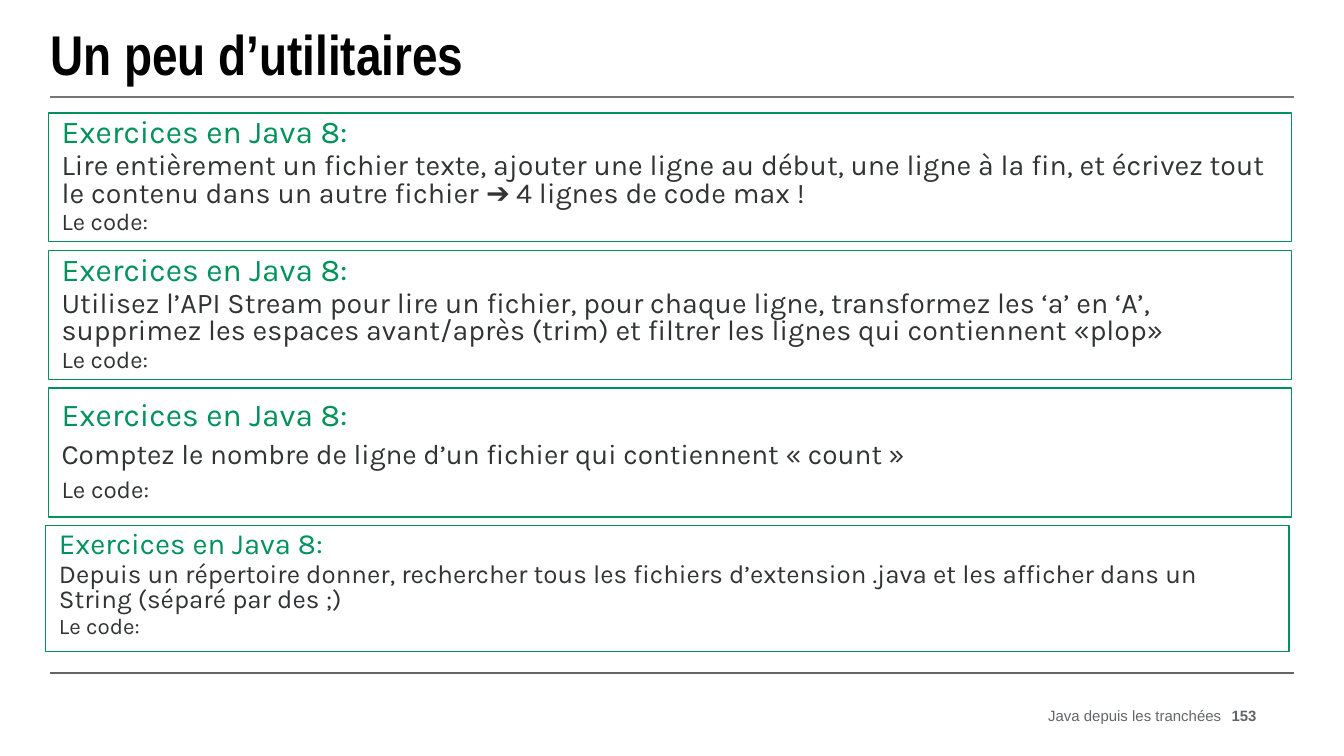
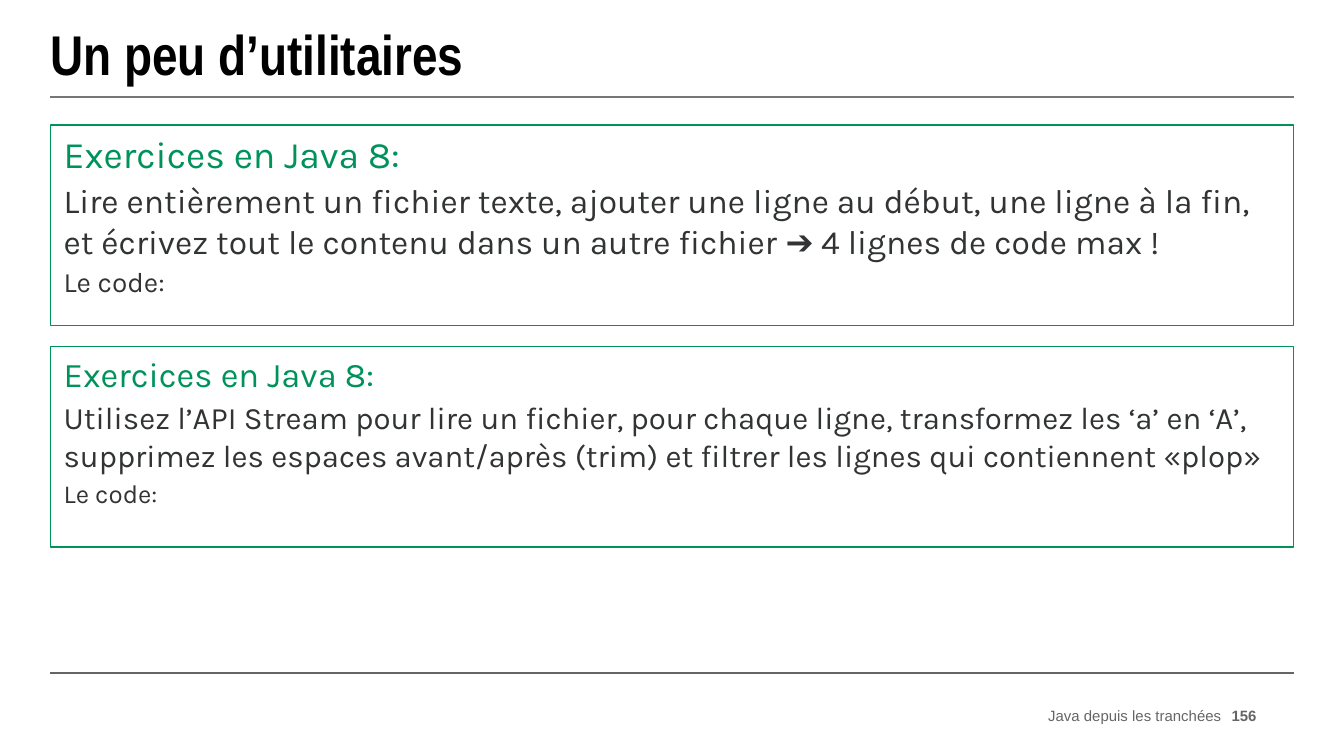
from dataclasses import dataclass

from lxml.etree import SubElement
from pptx import Presentation
from pptx.dml.color import RGBColor
from pptx.enum.shapes import MSO_CONNECTOR, MSO_SHAPE
from pptx.enum.text import MSO_ANCHOR, MSO_AUTO_SIZE, PP_ALIGN
from pptx.oxml.ns import qn
from pptx.slide import Slide
from pptx.text.text import TextFrame
from pptx.util import Inches, Pt

# Shared style
GREEN = RGBColor(0x00, 0x92, 0x5B)
INK = RGBColor(0x32, 0x33, 0x34)
BLACK = RGBColor(0x00, 0x00, 0x00)
FOOTER_GREY = RGBColor(0x64, 0x65, 0x67)
RULE_GREY = RGBColor(0x76, 0x76, 0x76)
TITLE_FONT, BODY_FONT, FOOTER_FONT = "Arial Narrow", "Karla", "Arial"

# 16:9 page with a centred content column
PAGE_WIDTH = 10
PAGE_HEIGHT = PAGE_WIDTH * 9 / 16
WIDTH = 9.25
LEFT = (PAGE_WIDTH - WIDTH) / 2
RIGHT = LEFT + WIDTH

TITLE = "Un peu d’utilitaires"
FOOTER = "Java depuis les tranchées"
HEADING = "Exercices en Java 8:"
CODE_LABEL = "Le code:"

# Exercise wording
ADD_LINES = ("Lire entièrement un fichier texte, ajouter une ligne au début, "
             "une ligne à la fin, et écrivez tout le contenu dans un autre "
             "fichier ➔ 4 lignes de code max !")
STREAM = ("Utilisez l’API Stream pour lire un fichier, pour chaque ligne, "
          "transformez les ‘a’ en ‘A’, supprimez les espaces avant/après "
          "(trim) et filtrer les lignes qui contiennent «plop»")
COUNT = "Comptez le nombre de ligne d’un fichier qui contiennent « count »"
FIND_JAVA = ("Depuis un répertoire donner, rechercher tous les fichiers "
             "d’extension .java et les afficher dans un String "
             "(séparé par des ;)")


@dataclass(frozen=True)
class Exercise:
    task: str
    sizes: tuple[float, float, float]  # heading, task, code label
    left: float
    height: float
    line_spacing: float = 1.0


@dataclass(frozen=True)
class ExerciseSlide:
    number: int
    first_top: float
    last_top: float
    exercises: tuple[Exercise, ...]


SLIDES = (
    ExerciseSlide(153, 0.84, 3.91, (
        Exercise(ADD_LINES, (17, 15.3, 12.8), 0.36, 0.96, 0.8),
        Exercise(STREAM, (17, 15.3, 12.8), 0.36, 0.96, 0.8),
        Exercise(COUNT, (17, 15, 13), 0.36, 0.96),
        Exercise(FIND_JAVA, (15.7, 13.9, 12), 0.34, 0.94, 0.8),
    )),
    ExerciseSlide(156, 0.93, 2.58, (
        Exercise(ADD_LINES, (20, 18, 15), LEFT, 1.49),
        Exercise(STREAM, (18.5, 16.7, 13.9), LEFT, 1.49),
    )),
)


def clear_margins(tf: TextFrame) -> None:
    tf.margin_left = tf.margin_top = tf.margin_right = tf.margin_bottom = 0
    tf.vertical_anchor = MSO_ANCHOR.MIDDLE
    tf.auto_size = MSO_AUTO_SIZE.NONE


def add_title(s: Slide) -> None:
    title = s.shapes.title
    title.left, title.top = Inches(LEFT), Inches(0.09)
    title.width, title.height = Inches(WIDTH), Inches(0.61)
    tf = title.text_frame
    tf.text = TITLE
    clear_margins(tf)
    p = tf.paragraphs[0]
    p.alignment = PP_ALIGN.LEFT
    p.font.name, p.font.size, p.font.bold = TITLE_FONT, Pt(30), True
    p.font.color.rgb = BLACK


def add_rule(s: Slide, y: float, color: RGBColor) -> None:
    line = s.shapes.add_connector(MSO_CONNECTOR.STRAIGHT, Inches(LEFT),
                                  Inches(y), Inches(RIGHT), Inches(y))
    line.line.color.rgb = color
    line.line.width = Pt(1)
    SubElement(line._element.spPr, qn("a:effectLst"))


def add_footer_text(s: Slide, text: str, left: float, width: float,
                    bold: bool = False) -> None:
    box = s.shapes.add_textbox(Inches(left), Inches(5.25),
                               Inches(width), Inches(0.15))
    tf = box.text_frame
    tf.text = text
    tf.word_wrap = False
    clear_margins(tf)
    p = tf.paragraphs[0]
    p.alignment = PP_ALIGN.RIGHT
    p.font.name, p.font.size, p.font.bold = FOOTER_FONT, Pt(8), bold
    p.font.color.rgb = FOOTER_GREY


def add_exercise(s: Slide, exercise: Exercise, top: float) -> None:
    box = s.shapes.add_shape(MSO_SHAPE.RECTANGLE, Inches(exercise.left),
                             Inches(top), Inches(WIDTH),
                             Inches(exercise.height))
    box.shadow.inherit = False
    box.fill.background()
    box.line.color.rgb = GREEN
    box.line.width = Pt(0.75)
    tf = box.text_frame
    tf.word_wrap = True
    tf.vertical_anchor = MSO_ANCHOR.TOP
    texts = (HEADING, exercise.task, CODE_LABEL)
    for i, (text, size) in enumerate(zip(texts, exercise.sizes)):
        p = tf.add_paragraph() if i else tf.paragraphs[0]
        p.text = text
        p.alignment = PP_ALIGN.LEFT
        p.line_spacing = exercise.line_spacing
        p.space_before = Pt(2 if i else 0)
        p.font.name, p.font.size = BODY_FONT, Pt(size)
        p.font.color.rgb = INK if i else GREEN


def main() -> None:
    prs = Presentation()
    prs.slide_width = Inches(PAGE_WIDTH)
    prs.slide_height = Inches(PAGE_HEIGHT)
    title_only = prs.slide_layouts[5]
    for content in SLIDES:
        s = prs.slides.add_slide(title_only)
        # Title, rules and footer
        add_rule(s, 5.01, FOOTER_GREY)
        add_rule(s, 0.72, RULE_GREY)
        add_title(s)
        add_footer_text(s, FOOTER, 6.89, 2.2)
        add_footer_text(s, str(content.number), 9.15, 0.2, bold=True)
        # Exercise boxes, evenly stacked
        pitch = ((content.last_top - content.first_top)
                 / (len(content.exercises) - 1))
        for i, exercise in enumerate(content.exercises):
            add_exercise(s, exercise, content.first_top + i * pitch)
    prs.save("out.pptx")


if __name__ == "__main__":
    main()
